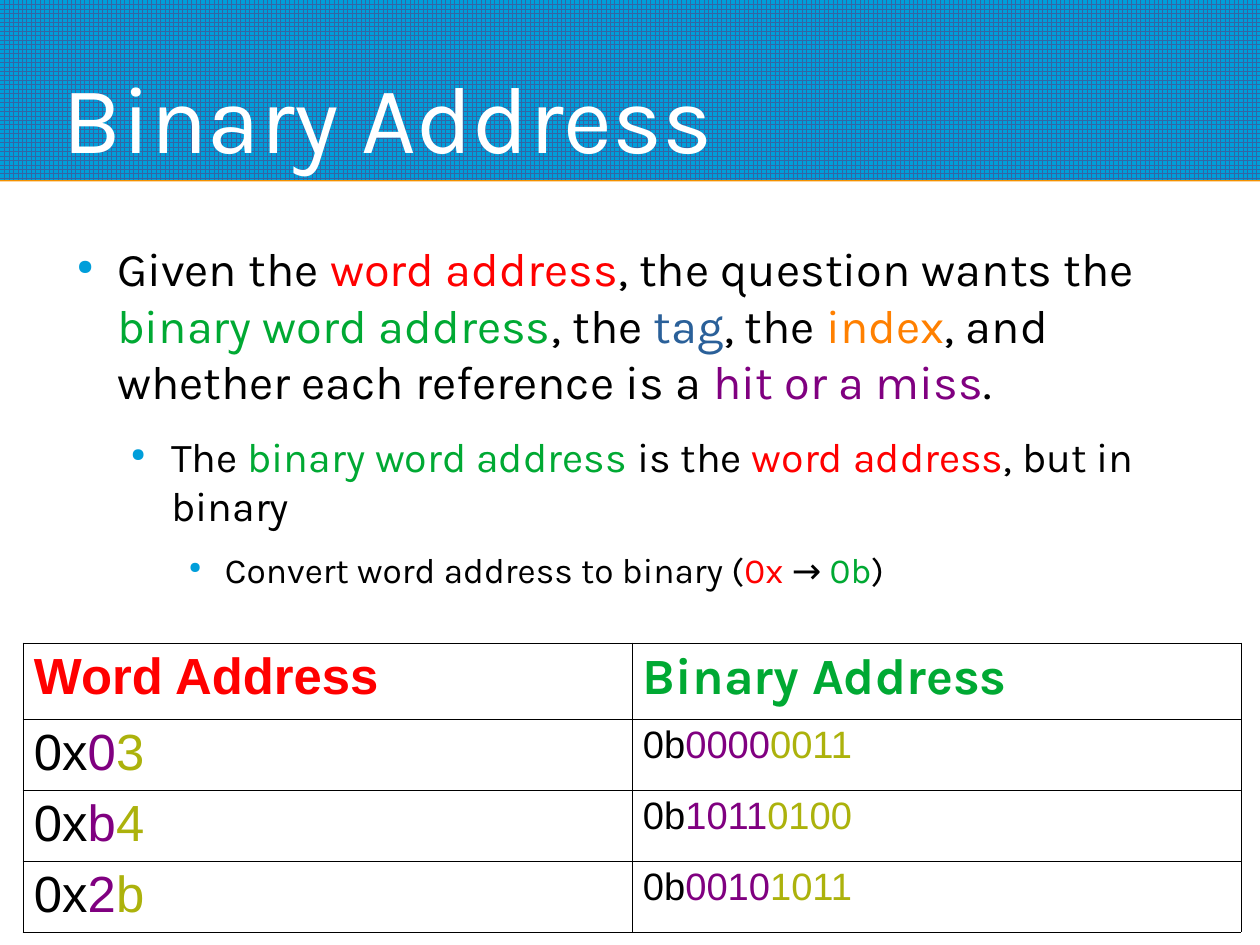
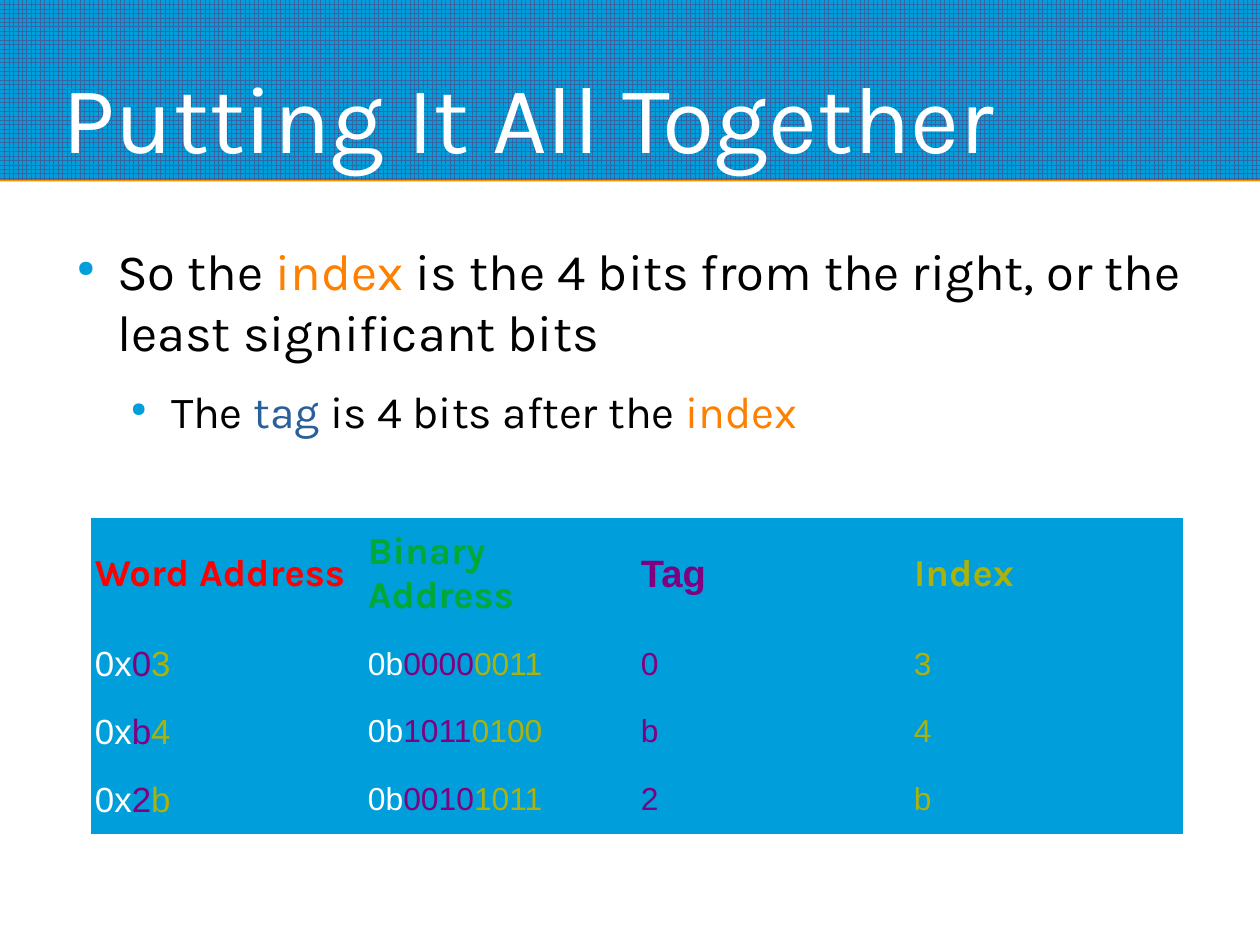
from lxml.etree import SubElement
from pptx import Presentation
from pptx.dml.color import RGBColor
from pptx.enum.dml import MSO_PATTERN
from pptx.enum.shapes import MSO_SHAPE
from pptx.enum.text import MSO_ANCHOR
from pptx.oxml.ns import qn
from pptx.util import Emu, Pt

BLUE = RGBColor(0x00, 0x9E, 0xDA)
GRID = RGBColor(0x34, 0x65, 0xA4)
AMBER = RGBColor(0xF4, 0x91, 0x00)
WHITE = RGBColor(0xFF, 0xFF, 0xFF)
BLACK = RGBColor(0x00, 0x00, 0x00)
RED = RGBColor(0xFF, 0x00, 0x00)
GREEN = RGBColor(0x00, 0xA9, 0x33)
NAVY = RGBColor(0x2A, 0x60, 0x99)
ORANGE = RGBColor(0xFF, 0x80, 0x00)
PURPLE = RGBColor(0x80, 0x00, 0x80)
OLIVE = RGBColor(0xAC, 0xB2, 0x0C)

KARLA = "Karla"
ARIAL = "Arial"
NO_TABLE_STYLE = "{2D5ABB26-0587-4C30-8999-92F81FD0307C}"
LEVELS = [(54, 40, 32, 14), (108, 40, 28, 11.2), (162, 36, 24, 8.4)]
ADDRESSES = [
    ("0", "3", "0000", "0011"),
    ("b", "4", "1011", "0100"),
    ("2", "b", "0010", "1011"),
]


def px(length):
    return Emu(length * 8000)


def add_colour(parent, tag, colour):
    holder = SubElement(parent, qn(tag))
    SubElement(holder, qn("a:srgbClr"), val=str(colour))
    return holder


class Deck:
    def __init__(self):
        self.presentation = Presentation()
        self.presentation.slide_width = px(1260)
        self.presentation.slide_height = px(945)
        self.slide = None

    def start_slide(self, title):
        self.slide = self.presentation.slides.add_slide(self.presentation.slide_layouts[6])
        self.band()
        frame = self.text_frame(63, 15, 1134, 158)
        frame.vertical_anchor = MSO_ANCHOR.BOTTOM
        self.fill_paragraph(frame.paragraphs[0], [(title, WHITE)], 60)

    def band(self):
        band = self.slide.shapes.add_shape(MSO_SHAPE.RECTANGLE, 0, 0, px(1260), px(180))
        band.fill.patterned()
        band.fill.pattern = MSO_PATTERN.LARGE_GRID
        band.fill.fore_color.rgb = GRID
        band.fill.back_color.rgb = BLUE
        band.line.fill.background()
        band.shadow.inherit = False
        effects = band.element.spPr.find(qn("a:effectLst"))
        shadow = add_colour(effects, "a:outerShdw", AMBER)
        shadow.set("dist", str(Pt(0.9)))
        shadow.set("dir", "5400000")

    def text_frame(self, left, top, width, height):
        box = self.slide.shapes.add_textbox(px(left), px(top), px(width), px(height))
        frame = box.text_frame
        frame.word_wrap = True
        frame.margin_left = frame.margin_right = frame.margin_top = frame.margin_bottom = 0
        return frame

    def fill_paragraph(self, paragraph, pieces, size, font=KARLA, bold=False):
        paragraph.font.size = Pt(size)
        paragraph.font.name = font
        paragraph.font.bold = bold
        for text, colour in pieces:
            run = paragraph.add_run()
            run.text = text
            run.font.color.rgb = colour

    def bullets(self, height, items, scale=1):
        frame = self.text_frame(63, 240, 1128, height)
        for level, pieces in enumerate(items):
            indent, hanging, size, space = LEVELS[level]
            paragraph = frame.add_paragraph() if level else frame.paragraphs[0]
            paragraph.level = level
            paragraph.space_after = Pt(space)
            properties = paragraph._p.get_or_add_pPr()
            properties.set("marL", str(px(indent)))
            properties.set("indent", str(px(-hanging)))
            add_colour(properties, "a:buClr", BLUE)
            SubElement(properties, qn("a:buSzPct"), val="45000")
            SubElement(properties, qn("a:buChar"), char="●")
            self.fill_paragraph(paragraph, pieces, size * scale)

    def table(self, left, top, column_width, heights, rows, margin, fill=None, border=None):
        columns = len(rows[0])
        frame = self.slide.shapes.add_table(
            len(rows), columns, px(left), px(top), px(column_width * columns), px(sum(heights)))
        table = frame.table
        table.first_row = table.horz_banding = False
        table._tbl.tblPr.find(qn("a:tableStyleId")).text = NO_TABLE_STYLE
        for column in table.columns:
            column.width = px(column_width)
        for row, height, contents in zip(table.rows, heights, rows):
            row.height = px(height)
            for cell, (pieces, size, font, bold) in zip(row.cells, contents):
                cell.margin_left = cell.margin_right = px(margin)
                cell.margin_top = cell.margin_bottom = px(5)
                if border is not None:
                    self.cell_border(cell, border)
                if fill is None:
                    cell.fill.background()
                else:
                    cell.fill.solid()
                    cell.fill.fore_color.rgb = fill
                    cell.vertical_anchor = MSO_ANCHOR.MIDDLE
                self.fill_paragraph(cell.text_frame.paragraphs[0], pieces, size, font, bold)

    def cell_border(self, cell, colour):
        properties = cell._tc.get_or_add_tcPr()
        for side in ("a:lnL", "a:lnR", "a:lnT", "a:lnB"):
            line = SubElement(properties, qn(side), w=str(Pt(0.57)))
            add_colour(line, "a:solidFill", colour)


def heading(text, colour, size, font=KARLA):
    return [(text, colour)], size, font, True


def value(prefix, tag, index, colour, size):
    return [(prefix, colour), (tag, PURPLE), (index, OLIVE)], size, ARIAL, False


def digit(text, colour):
    return [(text, colour)], 20, ARIAL, False


def address_cells(address, colour, word_size, binary_size):
    tag, index, tag_bits, index_bits = address
    return [value("0x", tag, index, colour, word_size),
            value("0b", tag_bits, index_bits, colour, binary_size)]


def binary_address_slide(deck):
    deck.start_slide("Binary Address")
    deck.bullets(413, [
        [("Given the ", BLACK), ("word address", RED), (", the question wants the ", BLACK),
         ("binary word address", GREEN), (", the ", BLACK), ("tag", NAVY), (", the ", BLACK),
         ("index", ORANGE), (", and whether each reference is a ", BLACK),
         ("hit or a miss", PURPLE), (".", BLACK)],
        [("The ", BLACK), ("binary word address", GREEN), (" is the ", BLACK),
         ("word address", RED), (", but in binary", BLACK)],
        [("Convert word address to binary (", BLACK), ("0x", RED), (" → ", BLACK),
         ("0b", GREEN), (")", BLACK)],
    ], scale=0.925)
    rows = [[heading("Word Address", RED, 32, ARIAL), heading("Binary Address", GREEN, 32)]]
    rows += [address_cells(address, BLACK, 32, 24) for address in ADDRESSES]
    deck.table(23, 643, 609, [76, 70, 70, 70], rows, 11, border=BLACK)


def together_slide(deck):
    deck.start_slide("Putting It All Together")
    deck.bullets(232, [
        [("So the ", BLACK), ("index", ORANGE),
         (" is the 4 bits from the right, or the least significant bits", BLACK)],
        [("The ", BLACK), ("tag", NAVY), (" is 4 bits after the ", BLACK), ("index", ORANGE)],
    ])
    rows = [[heading("Word Address", RED, 24), heading("Binary Address", GREEN, 24),
             heading("Tag", PURPLE, 24, ARIAL), heading("Index", OLIVE, 24)]]
    rows += [address_cells(address, WHITE, 22, 20)
             + [digit(address[0], PURPLE), digit(address[1], OLIVE)] for address in ADDRESSES]
    deck.table(91, 518, 273, [112, 68, 68, 68], rows, 4, fill=BLUE)


def main():
    deck = Deck()
    binary_address_slide(deck)
    together_slide(deck)
    deck.presentation.save("out.pptx")


if __name__ == "__main__":
    main()
